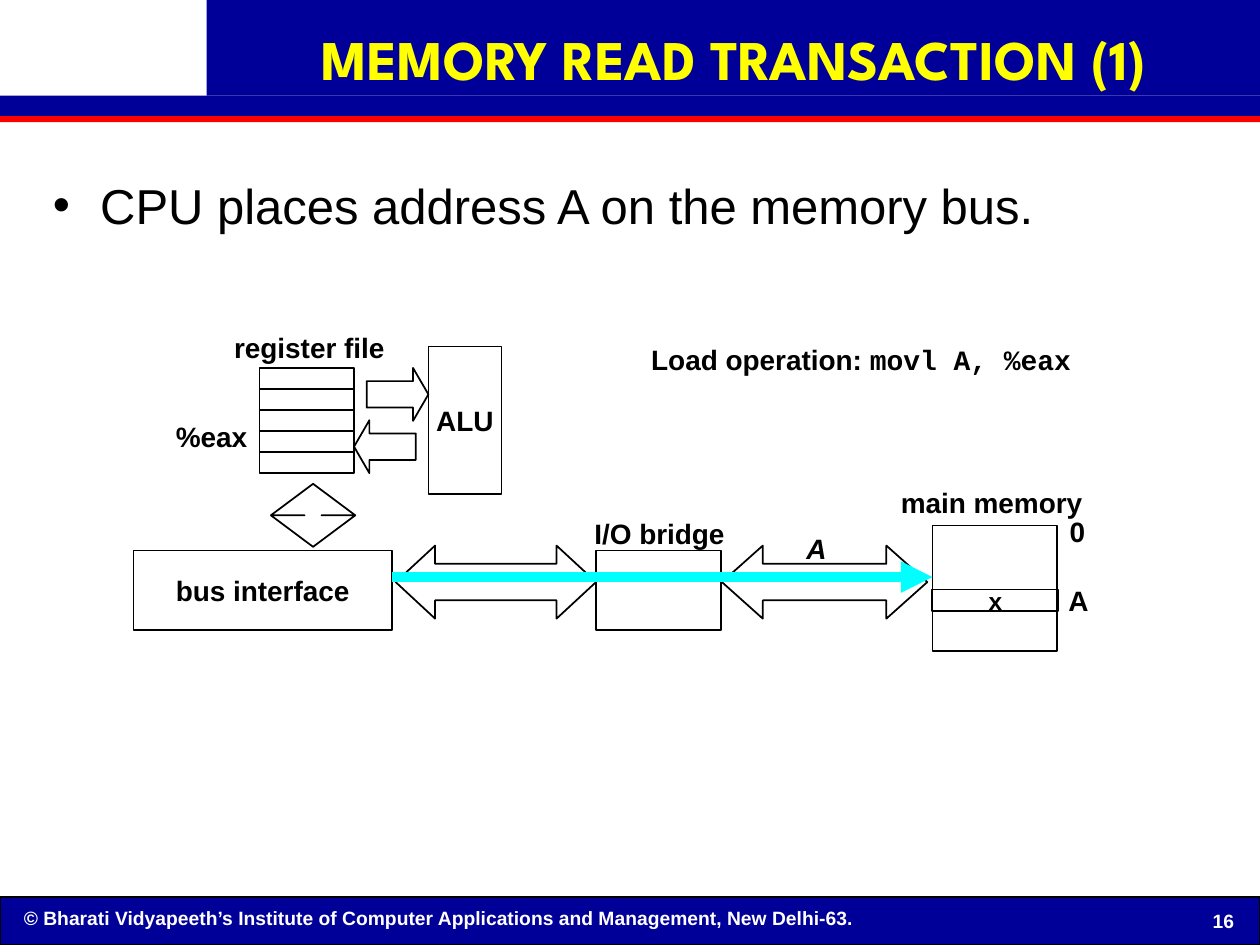
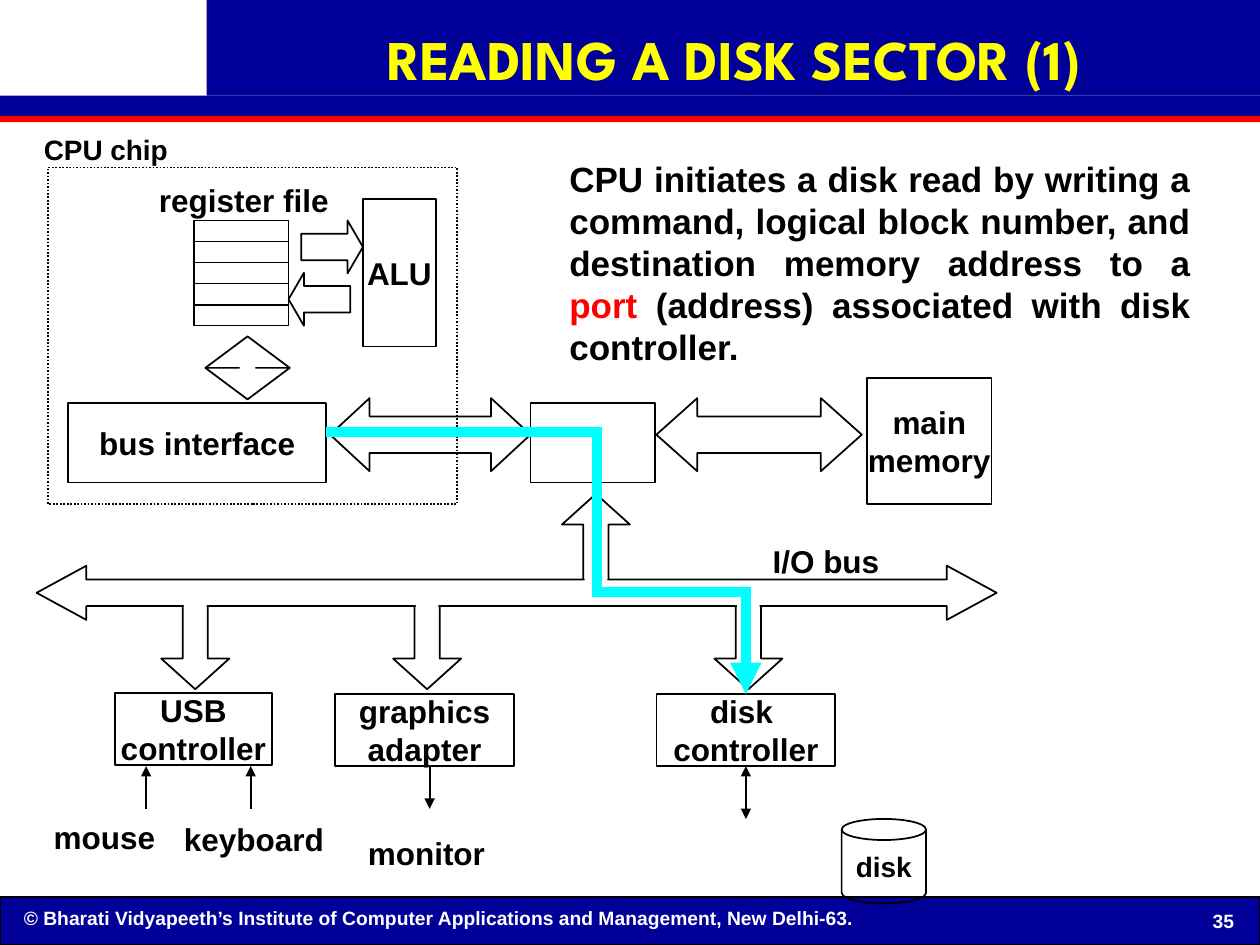
from lxml import etree
from pptx import Presentation
from pptx.dml.color import RGBColor
from pptx.enum.dml import MSO_LINE
from pptx.enum.shapes import MSO_CONNECTOR, MSO_SHAPE
from pptx.enum.text import MSO_ANCHOR, MSO_AUTO_SIZE, PP_ALIGN
from pptx.oxml.ns import qn
from pptx.util import Inches, Pt

RECT, CAN = MSO_SHAPE.RECTANGLE, MSO_SHAPE.CAN
RIGHT, LEFT = MSO_SHAPE.RIGHT_ARROW, MSO_SHAPE.LEFT_ARROW
UP, DOWN = MSO_SHAPE.UP_ARROW, MSO_SHAPE.DOWN_ARROW
WIDE, TALL = MSO_SHAPE.LEFT_RIGHT_ARROW, MSO_SHAPE.UP_DOWN_ARROW
STRAIGHT, DOTS = MSO_CONNECTOR.STRAIGHT, MSO_LINE.ROUND_DOT
START, MID, FULL = PP_ALIGN.LEFT, PP_ALIGN.CENTER, PP_ALIGN.JUSTIFY
TOP, CENTRE = MSO_ANCHOR.TOP, MSO_ANCHOR.MIDDLE
FIXED = MSO_AUTO_SIZE.NONE

COLORS = {"navy": "000099", "red": "FF0000", "white": "FFFFFF",
          "ink": "000000", "sun": "FFFF00", "cyan": "00FFFF"}
SANS, MONO, HEAD = "Arial", "Courier New", "League Spartan"
COLS, ROWS = 100, 75  # the grid that all lengths count in
WIDTH, HEIGHT = Inches(10), Inches(7.5)
ROW = 1.67  # height of one register
STEM = (0.37, 0.45)  # shape of the short bus arrows
NOTE = ("© Bharati Vidyapeeth’s Institute of Computer Applications "
        "and Management, New Delhi-63.")


def rgb(name):
    return RGBColor.from_string(COLORS[name])


def grid(x, y, w, h):
    """Turn columns and rows into lengths."""
    return [round(n * unit) for n, unit in
            zip((x, y, w, h), (WIDTH / COLS, HEIGHT / ROWS) * 2)]


def write(frame, text, size=16, font=SANS, color="ink", bold=True,
          italic=False, align=MID, anchor=CENTRE, wrap=False):
    """Fill a frame; text is lines, or a list of (words, changes) runs."""
    frame.auto_size = FIXED
    frame.word_wrap = wrap
    frame.vertical_anchor = anchor
    frame.margin_left = frame.margin_right = Inches(0.1)
    frame.margin_top = frame.margin_bottom = Inches(0.05)
    lines = ([[(line, {})] for line in text.split("\n")]
             if isinstance(text, str) else [text])
    for i, line in enumerate(lines):
        para = frame.add_paragraph() if i else frame.paragraphs[0]
        para.alignment = align
        para.space_before = Pt(0)
        for words, change in line:
            run = para.add_run()
            run.text = words
            face = run.font
            face.size, face.bold, face.italic = Pt(size), bold, italic
            face.name = change.get("font", font)
            face.color.rgb = rgb(change.get("color", color))


class Deck:
    def __init__(self):
        self.show = Presentation()
        self.show.slide_width, self.show.slide_height = WIDTH, HEIGHT
        self.slide = None

    def open(self, layout):
        self.slide = self.show.slides.add_slide(self.show.slide_layouts[layout])

    def box(self, x, y, w, h, text=None, kind=RECT, fill=None, edge="ink",
            thick=1, adj=(), **style):
        shape = self.slide.shapes.add_shape(kind, *grid(x, y, w, h))
        shape.shadow.inherit = False
        for i, value in enumerate(adj):
            shape.adjustments[i] = value
        if fill:
            shape.fill.solid()
            shape.fill.fore_color.rgb = rgb(fill)
        else:
            shape.fill.background()
        if edge:
            shape.line.color.rgb = rgb(edge)
            shape.line.width = Pt(thick)
        else:
            shape.line.fill.background()
        if text:
            write(shape.text_frame, text, **style)
        return shape

    def label(self, x, y, w, h, text, **style):
        shape = self.slide.shapes.add_textbox(*grid(x, y, w, h))
        write(shape.text_frame, text, **style)
        return shape

    def line(self, x1, y1, x2, y2, color="ink", thick=1, head=False, tail=False):
        link = self.slide.shapes.add_connector(STRAIGHT, *grid(x1, y1, x2, y2))
        link.line.color.rgb = rgb(color)
        link.line.width = Pt(thick)
        props = link.line._get_or_add_ln()
        for on, tag in ((head, "a:headEnd"), (tail, "a:tailEnd")):
            if on:
                etree.SubElement(props, qn(tag), type="triangle")
        etree.SubElement(link.element.spPr, qn("a:effectLst"))
        return link

    def path_line(self, *ends, **style):
        return self.line(*ends, color="cyan", thick=6, **style)

    def holder(self, index, place, text, **style):
        shape = self.slide.placeholders[index]
        shape.left, shape.top, shape.width, shape.height = grid(*place)
        write(shape.text_frame, text, wrap=True, **style)

    def title(self, text, number):
        self.holder(0, (16.6, 0.1, 83.4, 9), text, size=32, font=HEAD,
                    color="sun")
        self.label(94.5, 71.9, 5.2, 2.4, number, size=11, color="white")

    def bands(self):
        """Draw the bands and the footer, then hand them to the master."""
        parts = [
            self.box(0, 71.2, 100, 3.8, fill="navy", thick=0.75),
            self.label(0.9, 71.4, 91.8, 2.9, NOTE, size=11, color="white",
                       align=START, anchor=TOP, wrap=True),
            self.box(0, 9.2, 100, 0.5, fill="red", edge=None),
            self.box(16.4, 0, 83.6, 7.6, fill="navy", edge=None),
            self.box(0, 7.6, 100, 1.6, fill="navy", edge=None)]
        tree = self.show.slide_master.shapes.element
        for i, part in enumerate(parts):
            part.element.xpath(".//p:cNvPr")[0].set("id", str(20 + i))
            tree.append(part.element)

    def cpu(self, x, y, size):
        """Draw registers, ALU, bus and bridge; x, y is the bus box corner."""
        self.box(x + 46.7, y - 0.4, 16.3, 5.8, kind=WIDE, adj=(0.5, 0.56))
        self.box(x + 36.7, y, 9.9, 6.3)
        self.box(x + 20.8, y - 0.4, 15.9, 5.8, kind=WIDE, adj=(0.5, 0.54))
        for i in range(5):
            self.box(x + 10, y - 14.5 + i * ROW, 7.5, ROW)
        for kind, dx, dy in ((RIGHT, 18.5, -14.5), (LEFT, 17.5, -10.35)):
            self.box(x + dx, y + dy, 4.9, 4.2, kind=kind, adj=(0.5, 0.29))
        self.box(x + 23.4, y - 16.2, 5.8, 11.7, "ALU", size=size)
        wide, high = 0.87 * size, 0.23 * size
        self.label(x + 13.95 - wide / 2, y - 16.15 - high / 2, wide, high,
                   "register file", size=size)
        self.box(x + 10.9, y - 5.3, 6.7, 5, kind=TALL, adj=(0.5, 0.2))
        self.box(x, y, 20.5, 6.3, "bus interface", size=size)


def memory(deck):
    deck.open(1)
    deck.bands()
    deck.title("MEMORY READ TRANSACTION (1)", "16")
    deck.holder(1, (3.2, 13.4, 90.9, 55.4),
                "CPU places address A on the memory bus.", size=28,
                bold=False, align=START, anchor=TOP)
    deck.cpu(10.6, 43.7, 16)

    # Main memory and the path of the address
    deck.box(74, 41.7, 9.9, 10)
    deck.path_line(31.1, 45.8, 74, 45.8, tail=True)
    deck.box(74, 46.8, 10, 1.7, "x", size=14)

    # Labels
    for x, y, w, text in ((83.9, 40.3, 3.2, "0"), (83.8, 45.8, 3.6, "A"),
                          (70.5, 38, 16.4, "main memory"),
                          (46.2, 40.5, 12.3, "I/O bridge"),
                          (13, 32.8, 7.6, "%eax")):
        deck.label(x, y, w, 3.7, text)
    deck.label(63, 41.7, 3.6, 3.7, "A", italic=True)
    deck.label(50.7, 26.7, 35.2, 6.4,
               [("Load operation: ", {}), ("movl A, %eax", {"font": MONO})],
               align=START, anchor=TOP)


def disk(deck):
    deck.open(5)
    deck.title("READING A DISK SECTOR (1)", "35")

    # CPU chip and main memory
    chip = deck.box(3.8, 13.3, 32.5, 26.7)
    chip.line.dash_style = DOTS
    deck.label(2.5, 10, 11.8, 3.7, "CPU chip")
    deck.cpu(5.4, 32, 18)
    deck.box(68.8, 30, 9.9, 10, "main\nmemory", size=18)

    # Bus arrows, with patches that open the bus at each stem
    stems = (15.5, 33.9, 59.4)
    deck.box(44.6, 39.2, 5.4, 7.5, kind=UP, adj=STEM)
    for x in stems:
        deck.box(x - 2.7, 47.2, 5.4, 7.5, kind=DOWN, adj=STEM)
    deck.box(2.9, 44.9, 76.2, 4.3, kind=WIDE, fill="white", adj=(0.49, 0.92))
    for x, y in [(x, 46.6) for x in stems] + [(47.3, 45.8)]:
        deck.box(x - 0.9, y, 1.8, 1.7, fill="white", edge=None)
    deck.label(60.3, 42.5, 10.5, 4, "I/O bus", size=18)

    # Controllers and devices
    deck.box(9.1, 55, 12.5, 5.7, "USB\ncontroller", size=18)
    deck.box(26.6, 55.1, 14.2, 5.7, "graphics\nadapter", size=18)
    control = deck.box(52.1, 55.1, 14.2, 5.7, "disk \ncontroller", size=18)
    for x in (11.6, 19.9):
        deck.line(x, 60.8, x, 64.2, head=True)
    deck.line(34.1, 60.8, 34.1, 64.2, tail=True)
    link = deck.line(59.2, 60.8, 59.2, 65, head=True, tail=True)
    link.begin_connect(control, 2)
    for x, y, w, text in ((3.3, 64.4, 10, "mouse"),
                          (13.6, 64.6, 13.1, "keyboard"),
                          (28.2, 65.7, 11.3, "monitor")):
        deck.label(x, y, w, 4, text, size=18)
    deck.box(66.8, 65, 6.7, 6.7, "disk", kind=CAN, adj=(0.25,))

    # Path of the command
    for ends in ((25.9, 34.3, 47.8, 34.3), (47.4, 34.3, 47.4, 46.7),
                 (47, 47, 59.2, 47)):
        deck.path_line(*ends)
    last = deck.path_line(59.2, 46.6, 59.2, 55.1, tail=True)
    last.end_connect(control, 0)

    deck.label(44.2, 12, 51.3, 17.7, [
        ("CPU initiates a disk read by writing a command, logical block "
         "number, and destination memory address to a ", {}),
        ("port ", {"color": "red"}),
        ("(address) associated with disk controller.", {})],
        size=20, align=FULL, anchor=TOP, wrap=True)


def main():
    deck = Deck()
    memory(deck)
    disk(deck)
    deck.show.save("out.pptx")


if __name__ == "__main__":
    main()
